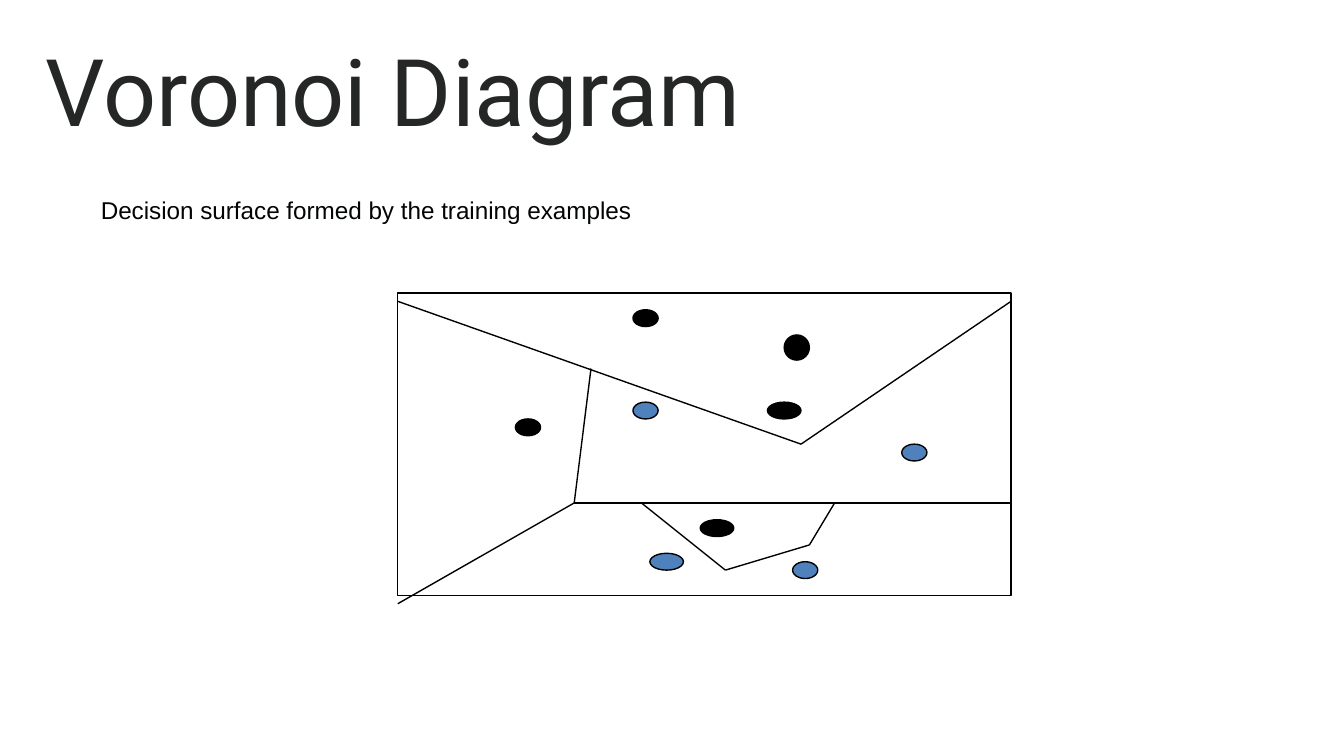
from dataclasses import dataclass
from itertools import pairwise

from lxml.etree import SubElement
from pptx import Presentation
from pptx.dml.color import RGBColor
from pptx.enum.shapes import MSO_CONNECTOR as CONN, MSO_SHAPE as SHAPE
from pptx.enum.text import MSO_ANCHOR as ANCHOR, MSO_AUTO_SIZE as AUTO, PP_ALIGN as ALIGN
from pptx.oxml.ns import qn
from pptx.util import Inches, Pt


@dataclass(frozen=True)
class Theme:
    """Colours, fonts and sizes of the slide."""
    title: RGBColor = RGBColor.from_string("252626")
    body: RGBColor = RGBColor.from_string("030404")
    black: RGBColor = RGBColor.from_string("000000")
    blue: RGBColor = RGBColor.from_string("4F81BD")
    white: RGBColor = RGBColor.from_string("FFFFFF")
    title_font: str = "Roboto"
    body_font: str = "Arial"
    title_size: int = 50
    body_size: int = 13
    line: float = 0.75


T = Theme()
GRID = 1 / 16
BLACK_POINTS = [(14, 15, 3, 2), (28, 2, 3, 2), (46, 5, 3, 3), (44, 13, 4, 2), (36, 27, 4, 2)]
BLUE_POINTS = [(30, 31, 4, 2), (60, 18, 3, 2), (28, 13, 3, 2), (47, 32, 3, 2)]
BOUNDARIES = [
    [(0, 1), (48, 18), (73, 1)],
    [(23, 9), (21, 25), (0, 37)],
    [(21, 25), (73, 25)],
    [(29, 25), (39, 33), (49, 30), (52, 25)],
]


def fill_placeholder(sp, box, text, font, size, color):
    """Place a placeholder in its box and set its single paragraph."""
    sp.left, sp.top, sp.width, sp.height = map(Inches, box)
    tf = sp.text_frame
    tf.word_wrap, tf.auto_size, tf.vertical_anchor = True, AUTO.NONE, ANCHOR.TOP
    tf.margin_left = tf.margin_right = tf.margin_top = tf.margin_bottom = 0
    tf.text = text
    p = tf.paragraphs[0]
    p.alignment, p.space_before = ALIGN.LEFT, Pt(0)
    f = p.runs[0].font
    f.name, f.size, f.color.rgb = font, Pt(size), color
    return p


def add_title(s, box, text):
    """Set the slide title."""
    fill_placeholder(s.shapes.title, box, text, T.title_font, T.title_size, T.title)


def add_body(s, box, text):
    """Set the indented body line without a bullet."""
    p = fill_placeholder(s.placeholders[1], box, text, T.body_font, T.body_size, T.body)
    pPr = p._p.get_or_add_pPr()
    pPr.set("marL", str(Inches(0.5)))
    pPr.set("indent", str(Inches(-0.25)))
    SubElement(pPr, qn("a:buNone"))


def style_line(line):
    """Apply the diagram's outline."""
    line.color.rgb, line.width = T.black, Pt(T.line)


def add_voronoi(s, left, top, cols, rows):
    """Draw the framed cells and training points on a grid."""
    shapes = s.shapes.add_group_shape().shapes

    def at(x, y):
        """Turn a grid point into slide lengths."""
        return Inches(left + x * GRID), Inches(top + y * GRID)

    def add_filled(kind, x, y, w, h, color):
        """Add an outlined shape given in grid units."""
        sp = shapes.add_shape(kind, *at(x, y), Inches(w * GRID), Inches(h * GRID))
        sp.shadow.inherit = False
        sp.fill.solid()
        sp.fill.fore_color.rgb = color
        style_line(sp.line)

    add_filled(SHAPE.RECTANGLE, 0, 0, cols, rows, T.white)
    for color, points in ((T.black, BLACK_POINTS), (T.blue, BLUE_POINTS)):
        for point in points:
            add_filled(SHAPE.OVAL, *point, color)
    for boundary in BOUNDARIES:
        for start, end in pairwise(boundary):
            cxn = shapes.add_connector(CONN.STRAIGHT, *at(*start), *at(*end))
            style_line(cxn.line)
            SubElement(cxn._element.spPr, qn("a:effectLst"))


def main():
    """Build and save the slide."""
    prs = Presentation()
    prs.slide_width, prs.slide_height = Inches(10), Inches(10 * 9 / 16)
    s = prs.slides.add_slide(prs.slide_layouts[1])
    add_title(s, (0.34, 0.25, 6.7, 0.62), "Voronoi Diagram")
    add_body(s, (0.5, 1.45, 6.87, 1.95), "Decision surface formed by the training examples")
    add_voronoi(s, 2.96, 2.18, 73, 36)
    prs.save("out.pptx")


if __name__ == "__main__":
    main()
